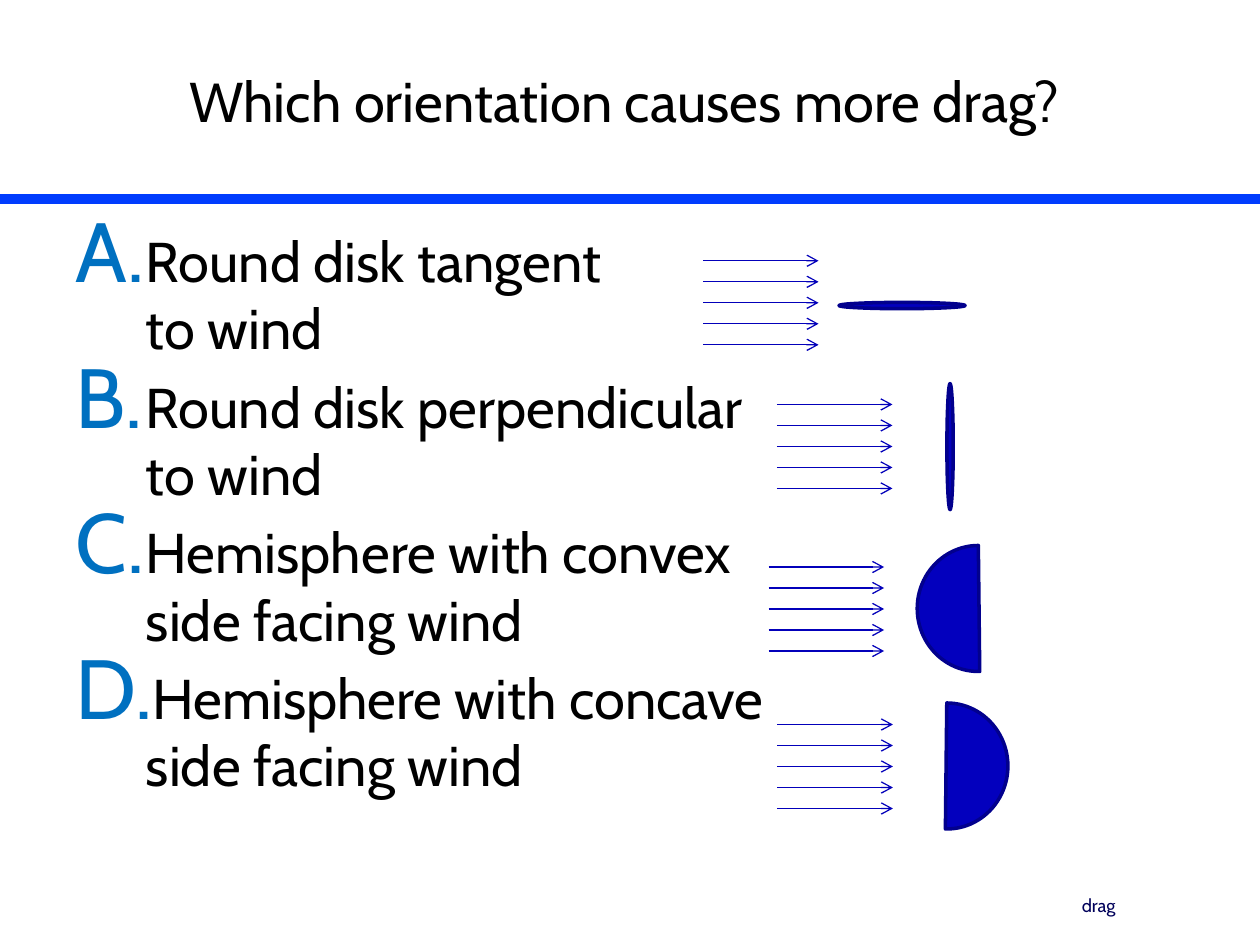
from dataclasses import dataclass

from lxml.etree import SubElement
from pptx import Presentation
from pptx.dml.color import RGBColor
from pptx.enum.shapes import MSO_CONNECTOR, MSO_SHAPE
from pptx.enum.text import MSO_ANCHOR, PP_ALIGN
from pptx.oxml.ns import qn
from pptx.util import Emu, Inches, Pt


@dataclass(frozen=True)
class Theme:
    font: str = "Cabin"
    ink: str = "000000"
    label: str = "00005A"
    bullet: str = "0070C0"
    rule: str = "003CFE"
    wind: str = "0300BA"
    body: str = "0300BE"
    edge: str = "02008D"
    text_size: float = 32
    label_size: float = 10.5
    bullet_percent: int = 150


COLUMNS, ROWS = 60, 45
ARROWS, ARROW_LENGTH = 5, 5.5
HALF_DISK = (53.235, 162)

ANSWERS = [
    "Round disk tangent \nto wind",
    "Round disk perpendicular \nto wind",
    "Hemisphere with convex \nside facing wind",
    "Hemisphere with concave \nside facing wind",
]

SCENES = [
    {"wind": (33.48, 12.42), "kind": MSO_SHAPE.OVAL, "box": (39.96, 14.4, 6, 0.3)},
    {"wind": (37, 19.26), "kind": MSO_SHAPE.OVAL, "box": (42.24, 21.12, 6, 0.3),
     "rotation": 90},
    {"wind": (36.6, 27), "kind": MSO_SHAPE.CHORD, "box": (43.68, 25.98, 5.82, 6),
     "adjust": HALF_DISK},
    {"wind": (37.02, 34.5), "kind": MSO_SHAPE.CHORD, "box": (42.18, 33.48, 5.82, 6),
     "adjust": HALF_DISK, "mirror": True},
]


def apply(target, values):
    for name, value in values.items():
        setattr(target, name, value)


class SlideBuilder:
    def __init__(self, deck, theme):
        self.theme = theme
        self.slide = deck.slides.add_slide(deck.slide_layouts[5])
        self.column = deck.slide_width / COLUMNS
        self.row = deck.slide_height / ROWS

    def place(self, left, top, width, height):
        return (Emu(round(left * self.column)), Emu(round(top * self.row)),
                Emu(round(width * self.column)), Emu(round(height * self.row)))

    def fill_text(self, frame, lines, size, color, align, anchor):
        apply(frame, {"word_wrap": True, "vertical_anchor": anchor})
        for index, line in enumerate(lines):
            paragraph = frame.paragraphs[0] if index == 0 else frame.add_paragraph()
            paragraph.text = line
            paragraph.alignment = align
            for run in paragraph.runs:
                apply(run.font, {"name": self.theme.font, "size": Pt(size)})
                run.font.color.rgb = RGBColor.from_string(color)
        return frame.paragraphs

    def title(self, words, box):
        heading = self.slide.shapes.title
        apply(heading, dict(zip(("left", "top", "width", "height"), self.place(*box))))
        self.fill_text(heading.text_frame, [words], self.theme.text_size, self.theme.ink,
                       PP_ALIGN.CENTER, MSO_ANCHOR.MIDDLE)

    def label(self, words, box):
        frame = self.slide.shapes.add_textbox(*self.place(*box)).text_frame
        self.fill_text(frame, [words], self.theme.label_size, self.theme.label,
                       PP_ALIGN.CENTER, MSO_ANCHOR.MIDDLE)

    def answers(self, lines, box):
        frame = self.slide.shapes.add_textbox(*self.place(*box)).text_frame
        paragraphs = self.fill_text(frame, lines, self.theme.text_size, self.theme.ink,
                                    PP_ALIGN.LEFT, MSO_ANCHOR.TOP)
        indent = Inches(0.56)
        for index, paragraph in enumerate(paragraphs):
            properties = paragraph._p.get_or_add_pPr()
            properties.set("marL", str(indent))
            properties.set("indent", str(-indent))
            tint = SubElement(properties, qn("a:buClr"))
            SubElement(tint, qn("a:srgbClr"), val=self.theme.bullet)
            SubElement(properties, qn("a:buSzPct"),
                       val=str(self.theme.bullet_percent * 1000))
            SubElement(properties, qn("a:buAutoNum"), type="alphaUcPeriod")
            if index:
                paragraph.space_before = Pt(0.2 * self.theme.text_size)

    def line(self, shapes, left, top, length, color, weight, arrow=False):
        x, y, run, _ = self.place(left, top, length, 0)
        connector = shapes.add_connector(MSO_CONNECTOR.STRAIGHT, x, y, x + run, y)
        connector.line.color.rgb = RGBColor.from_string(color)
        connector.line.width = Pt(weight)
        if arrow:
            outline = connector._element.spPr.find(qn("a:ln"))
            SubElement(outline, qn("a:tailEnd"), type="arrow")
        SubElement(connector._element.spPr, qn("a:effectLst"))

    def obstacle(self, shapes, kind, box, rotation=0, adjust=(), mirror=False):
        solid = shapes.add_shape(kind, *self.place(*box))
        solid.rotation = rotation
        for index, angle in enumerate(adjust):
            solid.adjustments[index] = angle
        if mirror:
            solid._element.spPr.find(qn("a:xfrm")).set("flipH", "1")
        solid.shadow.inherit = False
        solid.fill.solid()
        solid.fill.fore_color.rgb = RGBColor.from_string(self.theme.body)
        solid.line.color.rgb = RGBColor.from_string(self.theme.edge)
        solid.line.width = Pt(2)

    def scene(self, wind, **obstacle):
        shapes = self.slide.shapes.add_group_shape().shapes
        left, top = wind
        for step in range(ARROWS):
            self.line(shapes, left, top + step, ARROW_LENGTH, self.theme.wind, 0.75, True)
        self.obstacle(shapes, **obstacle)


def main():
    deck = Presentation()
    apply(deck, {"slide_width": Inches(10), "slide_height": Inches(7.5)})
    builder = SlideBuilder(deck, Theme())
    builder.line(builder.slide.shapes, 0, 9.48, COLUMNS, builder.theme.rule, 6)
    builder.title("Which orientation causes more drag?", (3.48, 1.02, 52.5, 7.5))
    builder.answers(ANSWERS, (3, 10.5, 54, 29.7))
    builder.label("drag", (44.82, 41.34, 15, 3.48))
    for scene in SCENES:
        builder.scene(**scene)
    deck.save("out.pptx")


if __name__ == "__main__":
    main()
